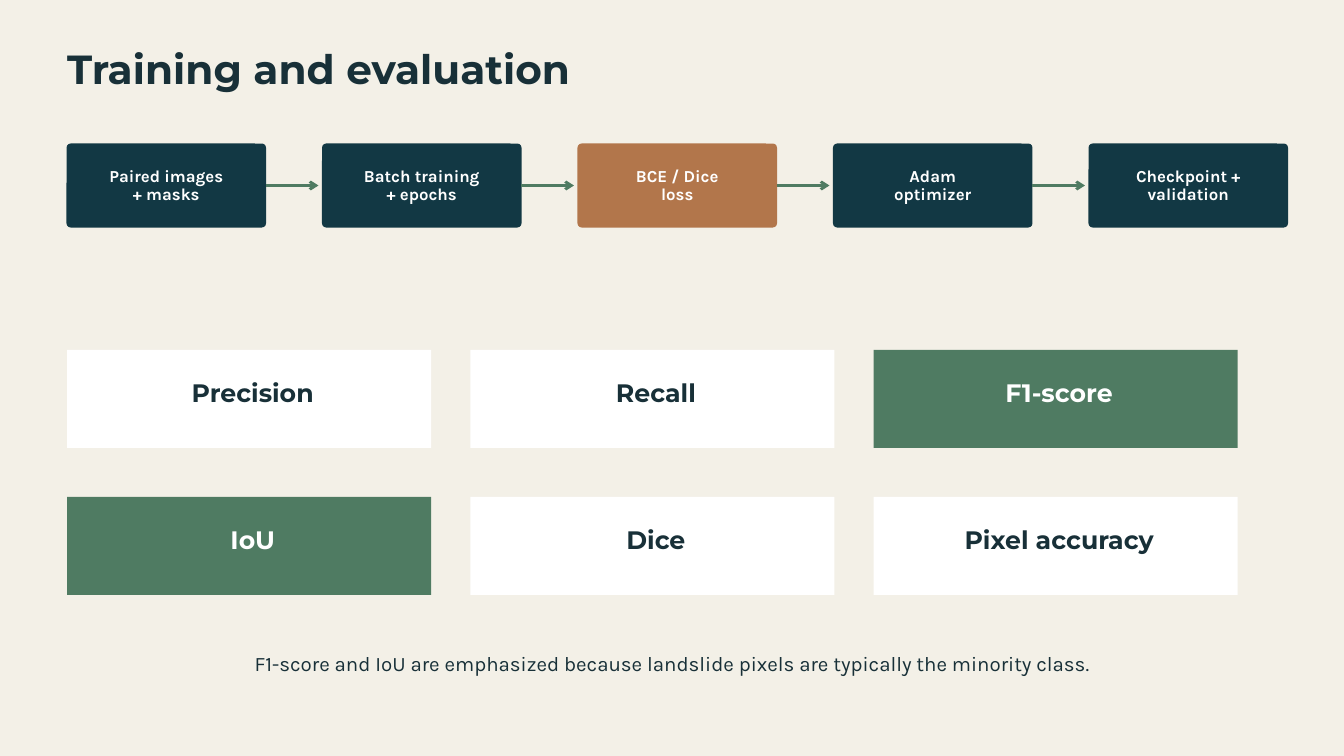
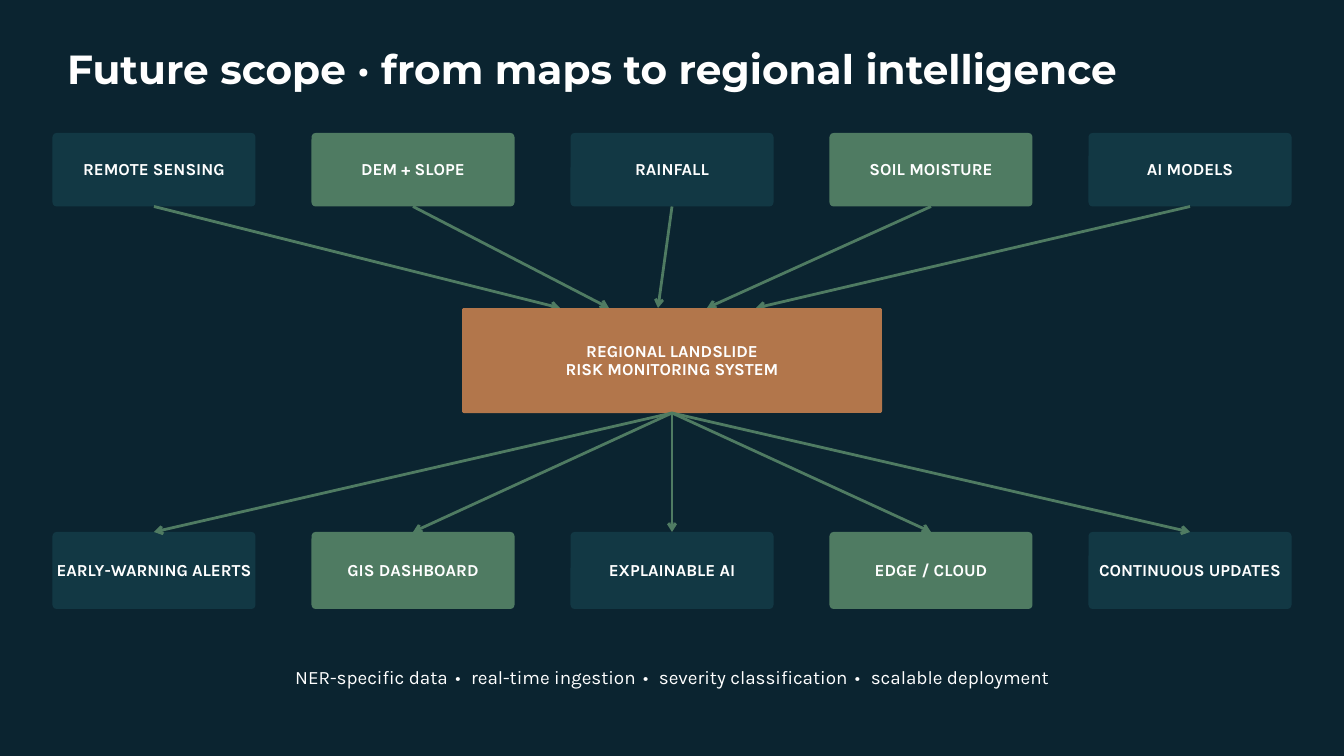
from collections import namedtuple
from dataclasses import dataclass

from pptx import Presentation
from pptx.dml.color import RGBColor
from pptx.enum.shapes import MSO_CONNECTOR, MSO_SHAPE
from pptx.enum.text import MSO_ANCHOR, PP_ALIGN
from pptx.oxml.ns import qn
from pptx.util import Emu, Pt
from lxml.etree import SubElement

Box = namedtuple("Box", "x y w h")
Style = namedtuple("Style", "font size bold leading")
Insets = namedtuple("Insets", "left top right bottom")


@dataclass(frozen=True)
class Theme:
    paper: str = "F3F0E7"
    night: str = "0B2430"
    ink: str = "183038"
    white: str = "FFFFFF"
    teal: str = "123844"
    green: str = "4F7B62"
    copper: str = "B2764B"
    title: Style = Style("Montserrat", 43.5, True, 45.7)
    metric: Style = Style("Montserrat", 27, True, 28.4)
    node: Style = Style("Karla", 18, True, 18.9)
    note: Style = Style("Karla", 22, False, 27.5)
    small_note: Style = Style("Karla", 20.2, False, 25.3)
    arrow_width: float = 3


T = Theme()
PAGE = Box(0, 0, 1920, 1080)
TITLE = Box(96, 71, 1728, 61)
NO_INSETS = Insets(0, 0, 0, 0)
NODE_INSETS = Insets(2, 8, 2, 6)
METRIC_INSETS = Insets(25, 45, 15, 0)


def px(n):
    return Emu(round(n * 9525))


def rgb(color):
    return RGBColor.from_string(color)


def emu_box(box):
    return [px(n) for n in box]


def add_run(p, text, style, color):
    r = p.add_run()
    r.text = text
    look = {"name": style.font, "size": Pt(style.size), "bold": style.bold}
    for name, value in look.items():
        setattr(r.font, name, value)
    r.font.color.rgb = rgb(color)
    return r


def format_frame(tf, insets, anchor):
    look = {"word_wrap": True, "vertical_anchor": anchor}
    look.update({f"margin_{side}": px(n) for side, n in insets._asdict().items()})
    for name, value in look.items():
        setattr(tf, name, value)


def write_lines(tf, lines, style, color, align=PP_ALIGN.CENTER):
    """Give each line its own paragraph."""
    for i, line in enumerate(lines):
        p = tf.add_paragraph() if i else tf.paragraphs[0]
        p.alignment, p.line_spacing = align, Pt(style.leading)
        if line:
            add_run(p, line, style, color)


def add_text(s, box, text, style, color, align=PP_ALIGN.CENTER):
    tf = s.shapes.add_textbox(*emu_box(box)).text_frame
    format_frame(tf, NO_INSETS, MSO_ANCHOR.TOP)
    write_lines(tf, [text], style, color, align)
    return tf


def add_panel(s, kind, box, fill):
    sp = s.shapes.add_shape(kind, *emu_box(box))
    sp.shadow.inherit = False
    sp.fill.solid()
    sp.fill.fore_color.rgb = rgb(fill)
    sp.line.fill.background()
    return sp


def add_node(s, box, lines, fill, radius=6):
    sp = add_panel(s, MSO_SHAPE.ROUNDED_RECTANGLE, box, fill)
    sp.adjustments[0] = radius / min(box.w, box.h)
    format_frame(sp.text_frame, NODE_INSETS, MSO_ANCHOR.MIDDLE)
    write_lines(sp.text_frame, lines, T.node, T.white)
    return sp


def add_arrow(s, source, side, end=(0, 0), target=None):
    """Run from a side of source to the point end, or to the top of target."""
    cx = s.shapes.add_connector(MSO_CONNECTOR.STRAIGHT, 0, 0, *map(px, end))
    cx.begin_connect(source, side)
    if target is not None:
        cx.end_connect(target, 0)
    cx.line.color.rgb = rgb(T.green)
    cx.line.width = Pt(T.arrow_width)
    SubElement(cx.line._get_or_add_ln(), qn("a:tailEnd"), type="arrow")
    SubElement(cx._element.spPr, qn("a:effectLst"))


def add_slide(prs, title, background, color):
    s = prs.slides.add_slide(prs.slide_layouts[6])
    s.background.fill.solid()
    s.background.fill.fore_color.rgb = rgb(background)
    add_text(s, TITLE, title, T.title, color, PP_ALIGN.LEFT)
    return s


def cells(box, count, width):
    """Boxes of one width, spread evenly from the left to the right edge of box."""
    pitch = (box.w - width) / (count - 1)
    return [Box(box.x + i * pitch, box.y, width, box.h) for i in range(count)]


def training_flow(s, box, steps, accent):
    slots = cells(box, len(steps), 285)
    for i, (slot, lines) in enumerate(zip(slots, steps)):
        node = add_node(s, slot, lines, T.copper if i == accent else T.teal)
        if i + 1 < len(slots):
            add_arrow(s, node, 3, (slots[i + 1].x - 5, box.y + box.h / 2))


def metric_grid(s, box, rows, emphasized):
    height = 140
    row_pitch = (box.h - height) / (len(rows) - 1)
    for j, row in enumerate(rows):
        strip = Box(box.x, box.y + j * row_pitch, box.w, height)
        for slot, metric in zip(cells(strip, len(row), 520), row):
            strong = metric in emphasized
            sp = add_panel(s, MSO_SHAPE.RECTANGLE, slot, T.green if strong else T.white)
            format_frame(sp.text_frame, METRIC_INSETS, MSO_ANCHOR.TOP)
            write_lines(sp.text_frame, [metric], T.metric, T.white if strong else T.ink)


def node_row(s, box, labels):
    slots = cells(box, len(labels), 290)
    return [add_node(s, slot, [label], T.green if i % 2 else T.teal)
            for i, (slot, label) in enumerate(zip(slots, labels))]


def hub_diagram(s, box, inputs, hub_lines, outputs):
    """Inputs on top lead into the hub, which leads to the outputs below."""
    hub_box = Box(box.x + (box.w - 600) / 2, box.y + 250, 600, 150)
    sources = node_row(s, box._replace(h=105), inputs)
    for i, node in enumerate(sources):
        add_arrow(s, node, 2, (hub_box.x + 140 + 70 * i, hub_box.y))
    hub = add_node(s, hub_box, hub_lines, T.copper, radius=3)
    for node in node_row(s, Box(box.x, box.y + box.h - 110, box.w, 110), outputs):
        add_arrow(s, hub, 2, target=node)


def spaced_note(s, box, items):
    """One line of items, parted by widely set bullets."""
    p = add_text(s, box, "", T.small_note, T.white).paragraphs[0]
    for i, item in enumerate(items):
        if i:
            dot = add_run(p, " • ", T.small_note, T.white)
            dot.font._element.set("spc", "330")
        add_run(p, item, T.small_note, T.white)


def training_slide(prs):
    s = add_slide(prs, "Training and evaluation", T.paper, T.ink)
    training_flow(s, Box(95, 205, 1745, 120), [
        ("Paired images", "+ masks"),
        ("Batch training", "+ epochs"),
        ("BCE / Dice", "loss"),
        ("Adam", "optimizer"),
        ("Checkpoint +", "validation"),
    ], accent=2)
    metric_grid(s, Box(96, 500, 1672, 350), [
        ("Precision", "Recall", "F1-score"),
        ("IoU", "Dice", "Pixel accuracy"),
    ], emphasized={"F1-score", "IoU"})
    add_text(s, Box(350, 929, 1220, 36),
             "F1-score and IoU are emphasized because landslide pixels "
             "are typically the minority class.", T.note, T.ink)


def future_slide(prs):
    s = add_slide(prs, "Future scope · from maps to regional intelligence",
                  T.night, T.white)
    hub_diagram(
        s, Box(75, 190, 1770, 680),
        ["REMOTE SENSING", "DEM + SLOPE", "RAINFALL", "SOIL MOISTURE", "AI MODELS"],
        ["REGIONAL LANDSLIDE", "RISK MONITORING SYSTEM"],
        ["EARLY-WARNING ALERTS", "GIS DASHBOARD", "EXPLAINABLE AI",
         "EDGE / CLOUD", "CONTINUOUS UPDATES"])
    spaced_note(s, Box(230, 949, 1460, 33), [
        "NER-specific data", "real-time ingestion",
        "severity classification", "scalable deployment"])


def main():
    prs = Presentation()
    prs.slide_width, prs.slide_height = px(PAGE.w), px(PAGE.h)
    training_slide(prs)
    future_slide(prs)
    prs.save("out.pptx")


if __name__ == "__main__":
    main()
